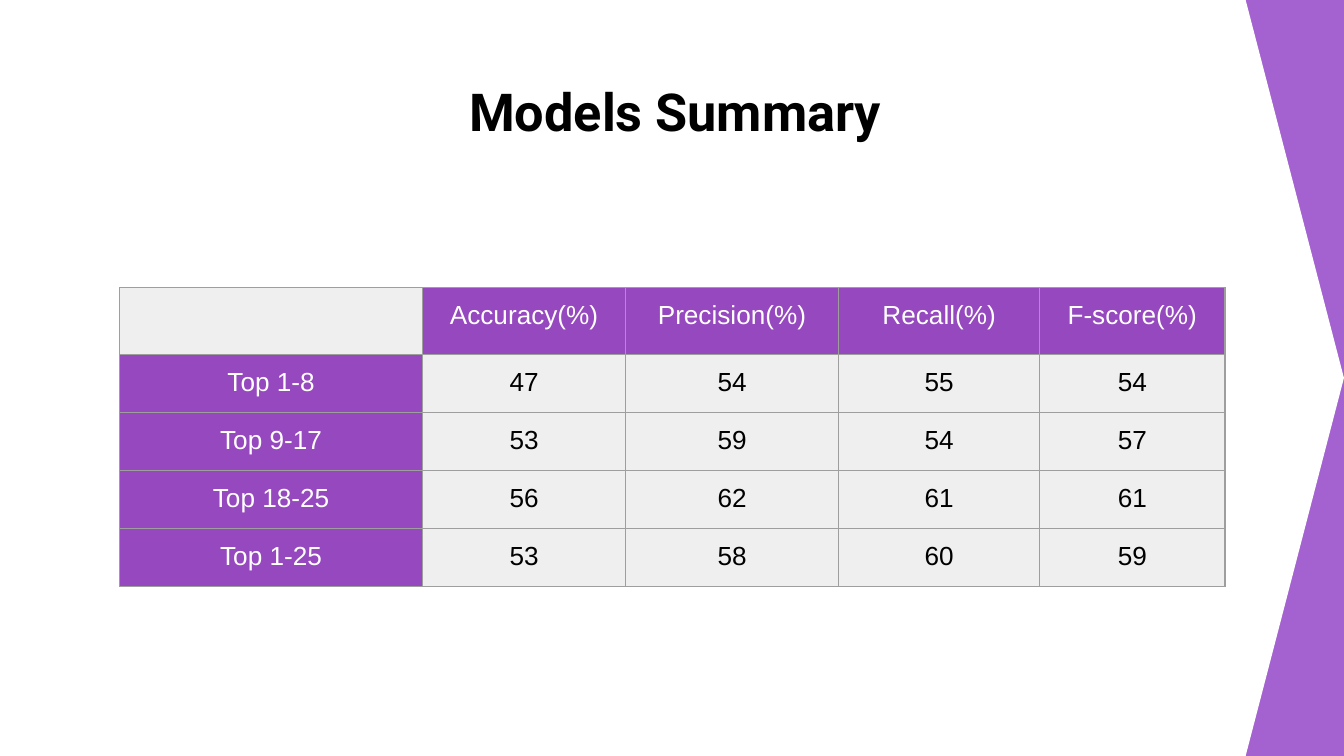
from lxml.etree import SubElement
from pptx import Presentation
from pptx.dml.color import RGBColor
from pptx.enum.shapes import MSO_SHAPE
from pptx.enum.text import MSO_ANCHOR, PP_ALIGN
from pptx.oxml.ns import qn
from pptx.util import Cm, Pt

WHITE = RGBColor(0xFF, 0xFF, 0xFF)
BLACK = RGBColor(0x00, 0x00, 0x00)
LILAC = RGBColor(0xA4, 0x61, 0xD0)
PURPLE = RGBColor(0x96, 0x48, 0xBF)
LIGHT_GREY = RGBColor(0xEF, 0xEF, 0xEF)
BORDER_GREY = RGBColor(0x9E, 0x9E, 0x9E)

SLIDE_WIDTH, SLIDE_HEIGHT = Cm(25.4), Cm(14.29)
INSET = Cm(0.25)
COLUMN_WIDTHS = [5.73, 3.83, 4.03, 3.8, 3.5]
HEADER_HEIGHT, ROW_HEIGHT = Cm(1.23), Cm(1.06)
SUMMARY = [
    ["", "Accuracy(%)", "Precision(%)", "Recall(%)", "F-score(%)"],
    ["Top 1-8", "47", "54", "55", "54"],
    ["Top 9-17", "53", "59", "54", "57"],
    ["Top 18-25", "56", "62", "61", "61"],
    ["Top 1-25", "53", "58", "60", "59"],
]


def write_text(text_frame, text, *, size, color, font="Arial", bold=False):
    paragraph = text_frame.paragraphs[0]
    paragraph.alignment = PP_ALIGN.CENTER
    run = paragraph.add_run()
    run.text = text
    run.font.name = font
    run.font.size = Pt(size)
    run.font.bold = bold
    run.font.color.rgb = color


def set_insets(target):
    target.margin_left = target.margin_right = INSET
    target.margin_top = target.margin_bottom = INSET


def set_borders(cell, color, width):
    properties = cell._tc.get_or_add_tcPr()
    for position, side in enumerate(("a:lnL", "a:lnR", "a:lnT", "a:lnB")):
        line = properties.makeelement(qn(side), {"w": str(Pt(width))})
        fill = SubElement(line, qn("a:solidFill"))
        SubElement(fill, qn("a:srgbClr"), val=str(color))
        properties.insert(position, line)


def add_background(slide):
    slide.background.fill.solid()
    slide.background.fill.fore_color.rgb = LILAC
    panel = slide.shapes.add_shape(
        MSO_SHAPE.PENTAGON, 0, 0, SLIDE_WIDTH, SLIDE_HEIGHT)
    panel.adjustments[0] = 0.13
    panel.shadow.inherit = False
    panel.fill.solid()
    panel.fill.fore_color.rgb = WHITE
    panel.line.fill.background()


def add_title(slide, text):
    box = slide.shapes.add_textbox(Cm(1.98), Cm(1.24), Cm(21.56), Cm(1.6))
    text_frame = box.text_frame
    text_frame.word_wrap = True
    text_frame.vertical_anchor = MSO_ANCHOR.TOP
    set_insets(text_frame)
    write_text(text_frame, text, size=28, color=BLACK, font="Roboto", bold=True)


def add_summary_table(slide):
    height = HEADER_HEIGHT + ROW_HEIGHT * (len(SUMMARY) - 1)
    table = slide.shapes.add_table(
        len(SUMMARY), len(COLUMN_WIDTHS), Cm(2.26), Cm(5.44),
        Cm(sum(COLUMN_WIDTHS)), height).table
    for column, width in zip(table.columns, COLUMN_WIDTHS):
        column.width = Cm(width)
    for row_index, values in enumerate(SUMMARY):
        table.rows[row_index].height = ROW_HEIGHT if row_index else HEADER_HEIGHT
        for column_index, text in enumerate(values):
            cell = table.cell(row_index, column_index)
            # Headings run along the top and left, except the empty corner
            is_heading = (row_index == 0) != (column_index == 0)
            cell.fill.solid()
            cell.fill.fore_color.rgb = PURPLE if is_heading else LIGHT_GREY
            set_insets(cell)
            set_borders(cell, BORDER_GREY, 0.75)
            if text:
                write_text(cell.text_frame, text, size=14,
                           color=WHITE if is_heading else BLACK)


def main():
    presentation = Presentation()
    presentation.slide_width = SLIDE_WIDTH
    presentation.slide_height = SLIDE_HEIGHT
    slide = presentation.slides.add_slide(presentation.slide_layouts[6])
    add_background(slide)
    add_title(slide, "Models Summary")
    add_summary_table(slide)
    presentation.save("out.pptx")


if __name__ == "__main__":
    main()
